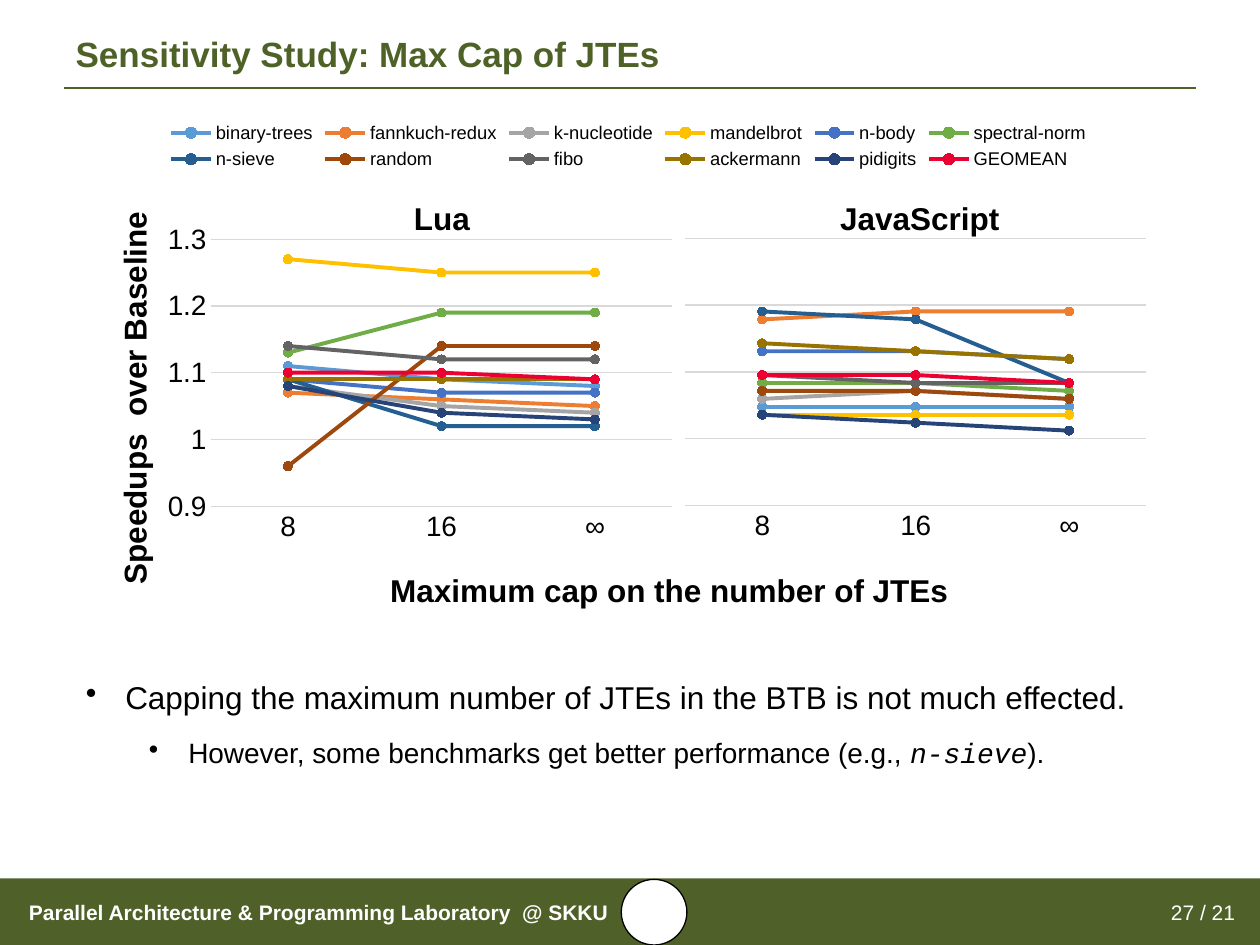
from lxml.etree import SubElement
from pptx import Presentation
from pptx.chart.data import CategoryChartData
from pptx.dml.color import RGBColor
from pptx.enum.chart import XL_CHART_TYPE, XL_LEGEND_POSITION, XL_MARKER_STYLE, XL_TICK_MARK
from pptx.enum.shapes import MSO_CONNECTOR, MSO_SHAPE
from pptx.enum.text import MSO_ANCHOR, PP_ALIGN
from pptx.oxml.ns import qn
from pptx.util import Pt

# Content
TITLE = "Sensitivity Study: Max Cap of JTEs"
LAB = "Parallel Architecture & Programming Laboratory  @ SKKU"
PAGE = "27 / 21"
Y_TITLE = "Speedups  over Baseline"
X_TITLE = "Maximum cap on the number of JTEs"
CAPS = ["8", "16", "∞"]
# benchmark, colour, Lua values, JavaScript values
BENCHMARKS = [
    ("binary-trees", "5B9BD5", (1.11, 1.09, 1.08), (88, 88, 88)),
    ("fannkuch-redux", "ED7D31", (1.07, 1.06, 1.05), (99, 100, 100)),
    ("k-nucleotide", "A5A5A5", (1.08, 1.05, 1.04), (89, 90, 89)),
    ("mandelbrot", "FFC000", (1.27, 1.25, 1.25), (87, 87, 87)),
    ("n-body", "4472C4", (1.09, 1.07, 1.07), (95, 95, 94)),
    ("spectral-norm", "70AD47", (1.13, 1.19, 1.19), (91, 91, 90)),
    ("n-sieve", "255E91", (1.09, 1.02, 1.02), (100, 99, 91)),
    ("random", "9E480E", (0.96, 1.14, 1.14), (90, 90, 89)),
    ("fibo", "636363", (1.14, 1.12, 1.12), (92, 91, 91)),
    ("ackermann", "997300", (1.09, 1.09, 1.09), (96, 95, 94)),
    ("pidigits", "264478", (1.08, 1.04, 1.03), (87, 86, 85)),
    ("GEOMEAN", "EC0032", (1.1, 1.1, 1.09), (92, 92, 91)),
]
# size, left indent, level, runs as (text, is code)
BULLETS = [
    (18, 22.5, 0, [("Capping the maximum number of JTEs in the BTB is not much effected.", False)]),
    (16, 58.5, 1, [("However, some benchmarks get better performance (e.g., ", False),
                   ("n-sieve", True), (").", False)]),
]
HANG = 22.5

# Style
GREEN = RGBColor(0x4F, 0x61, 0x28)
TITLE_GREEN = RGBColor(0x4E, 0x61, 0x27)
GRID_GREY = RGBColor(0xD9, 0xD9, 0xD9)
WHITE = RGBColor(0xFF, 0xFF, 0xFF)
BLACK = RGBColor(0, 0, 0)
FONT = "Arial"
CODE_FONT = "Courier New"

# Chart geometry: points for the frame, fractions of the frame inside it
CHART_SIZE = (646.5, 306)
PLOT_Y, PLOT_W, PLOT_H = 0.249, 0.407, 0.499


def set_font(font, size, color=BLACK, bold=False):
    font.name, font.size, font.bold = FONT, Pt(size), bold
    font.color.rgb = color


def add_text(slide, text, box, size, color=BLACK, bold=False, align=PP_ALIGN.LEFT,
             anchor=MSO_ANCHOR.TOP, wrap=False):
    frame = slide.shapes.add_textbox(*map(Pt, box)).text_frame
    frame.word_wrap, frame.vertical_anchor = wrap, anchor
    paragraph = frame.paragraphs[0]
    paragraph.text, paragraph.alignment = text, align
    set_font(paragraph.font, size, color, bold)


def add_plain_shape(slide, preset, box, fill, outline=None):
    shape = slide.shapes.add_shape(preset, *map(Pt, box))
    shape.shadow.inherit = False
    shape.fill.solid()
    shape.fill.fore_color.rgb = fill
    if outline is None:
        shape.line.fill.background()
    else:
        shape.line.color.rgb, shape.line.width = outline, Pt(0.75)


def place(element, index, x, y, w=None, h=None, inner=False):
    """Give a chart part a manual layout, as its child number index."""
    for old in element.findall(qn("c:layout")):
        element.remove(old)
    layout = SubElement(element, qn("c:layout"))
    element.insert(index, layout)
    manual = SubElement(layout, qn("c:manualLayout"))
    settings = [("layoutTarget", "inner")] if inner else []
    settings += [("xMode", "edge"), ("yMode", "edge"), ("x", x), ("y", y)]
    if w is not None:
        settings += [("w", w), ("h", h)]
    for tag, value in settings:
        SubElement(manual, qn("c:" + tag)).set("val", str(value))


def add_speedup_chart(slide, position, plot_x, values_column, low, high, step):
    data = CategoryChartData()
    data.categories = CAPS
    for benchmark in BENCHMARKS:
        data.add_series(benchmark[0], benchmark[values_column])
    chart = slide.shapes.add_chart(
        XL_CHART_TYPE.LINE_MARKERS, *map(Pt, position + CHART_SIZE), data).chart
    chart.has_title = chart.has_legend = False
    set_font(chart.font, 10)
    chart.plots[0].vary_by_categories = False
    plot_area = chart._chartSpace.find(qn("c:chart")).find(qn("c:plotArea"))
    place(plot_area, 0, plot_x, PLOT_Y, PLOT_W, PLOT_H, inner=True)

    for series, (_, color, *_) in zip(chart.plots[0].series, BENCHMARKS):
        rgb = RGBColor.from_string(color)
        series.smooth = False
        series.format.line.color.rgb, series.format.line.width = rgb, Pt(2.25)
        series.marker.style, series.marker.size = XL_MARKER_STYLE.CIRCLE, 5
        series.marker.format.fill.solid()
        series.marker.format.fill.fore_color.rgb = rgb
        series.marker.format.line.color.rgb = rgb

    caps, speedups = chart.category_axis, chart.value_axis
    for axis in (caps, speedups):
        axis.major_tick_mark = axis.minor_tick_mark = XL_TICK_MARK.NONE
        set_font(axis.tick_labels.font, 16)
    speedups.minimum_scale, speedups.maximum_scale, speedups.major_unit = low, high, step
    speedups.has_major_gridlines = True
    speedups.format.line.fill.background()
    for line in (caps.format.line, speedups.major_gridlines.format.line):
        line.color.rgb, line.width = GRID_GREY, Pt(0.75)
    return chart


def main():
    presentation = Presentation()
    presentation.slide_width, presentation.slide_height = Pt(720), Pt(540)
    slide = presentation.slides.add_slide(presentation.slide_layouts[5])

    # Footer band and title rule
    add_plain_shape(slide, MSO_SHAPE.RECTANGLE, (0, 502, 720, 38), GREEN)
    add_text(slide, LAB, (9.5, 502.5, 390, 37.5), 12, WHITE, True,
             anchor=MSO_ANCHOR.MIDDLE, wrap=True)
    rule = slide.shapes.add_connector(MSO_CONNECTOR.STRAIGHT, Pt(36.5), Pt(50.25), Pt(683.5), Pt(50.25))
    rule.line.color.rgb, rule.line.width = GREEN, Pt(1)
    SubElement(rule._element.spPr, qn("a:effectLst"))
    add_plain_shape(slide, MSO_SHAPE.OVAL, (355, 502.5, 37.5, 37.5), WHITE, BLACK)

    # Title
    title = slide.shapes.title
    title.left, title.top, title.width, title.height = map(Pt, (36, 14.5, 648, 35))
    title.text_frame.vertical_anchor = MSO_ANCHOR.MIDDLE
    heading = title.text_frame.paragraphs[0]
    heading.text, heading.alignment, heading.line_spacing = TITLE, PP_ALIGN.LEFT, 0.9
    set_font(heading.font, 20, TITLE_GREEN, True)

    # Lua chart carries the legend and the shared value axis title
    lua = add_speedup_chart(slide, (36, 60.5), 0.131, 2, 0.9, 1.3, 0.1)
    lua.has_legend = True
    lua.legend.position = XL_LEGEND_POSITION.TOP
    lua.legend.include_in_layout = False
    set_font(lua.legend.font, 10.5)
    place(lua.legend._element, 1, 0.09, 0.02, 0.82, 0.11)
    axis_title = lua.value_axis.axis_title
    axis_title.text_frame.text = Y_TITLE
    set_font(axis_title.text_frame.paragraphs[0].font, 18, bold=True)
    axis_title.text_frame._txBody.bodyPr.set("rot", "-5400000")
    axis_title.text_frame._txBody.bodyPr.set("vert", "horz")
    place(axis_title._element, 1, 0.04, 0.187)

    # JavaScript chart: same scale times 84
    javascript = add_speedup_chart(slide, (35.5, 60), 0.551, 3, 75.6, 109.2, 8.4)
    javascript.value_axis.visible = False

    # Chart captions
    add_text(slide, "Lua", (229.5, 110, 47, 29), 18, bold=True)
    add_text(slide, "JavaScript", (473, 110, 106.5, 29), 18, bold=True)
    add_text(slide, X_TITLE, (214, 322.5, 337, 29), 18, bold=True, align=PP_ALIGN.CENTER)

    # Bullets
    body = slide.shapes.add_textbox(*map(Pt, (42, 376.5, 659, 120))).text_frame
    body.word_wrap = True
    body.margin_top = body.margin_bottom = 0
    for number, (size, indent, level, runs) in enumerate(BULLETS):
        paragraph = body.add_paragraph() if number else body.paragraphs[0]
        paragraph.level, paragraph.line_spacing, paragraph.space_before = level, 1.5, Pt(2)
        set_font(paragraph.font, size)
        for text, is_code in runs:
            run = paragraph.add_run()
            run.text = text
            if is_code:
                run.font.name, run.font.italic = CODE_FONT, True
        properties = paragraph._p.get_or_add_pPr()
        properties.set("marL", str(Pt(indent)))
        properties.set("indent", str(-Pt(HANG)))
        bullet = properties.makeelement(qn("a:buChar"), {"char": "•"})
        properties.insert_element_before(bullet, "a:tabLst", "a:defRPr", "a:extLst")

    # Page number
    add_text(slide, PAGE, (660, 502.5, 55, 37.5), 12, WHITE, align=PP_ALIGN.CENTER,
             anchor=MSO_ANCHOR.MIDDLE, wrap=True)

    presentation.save("out.pptx")


if __name__ == "__main__":
    main()
